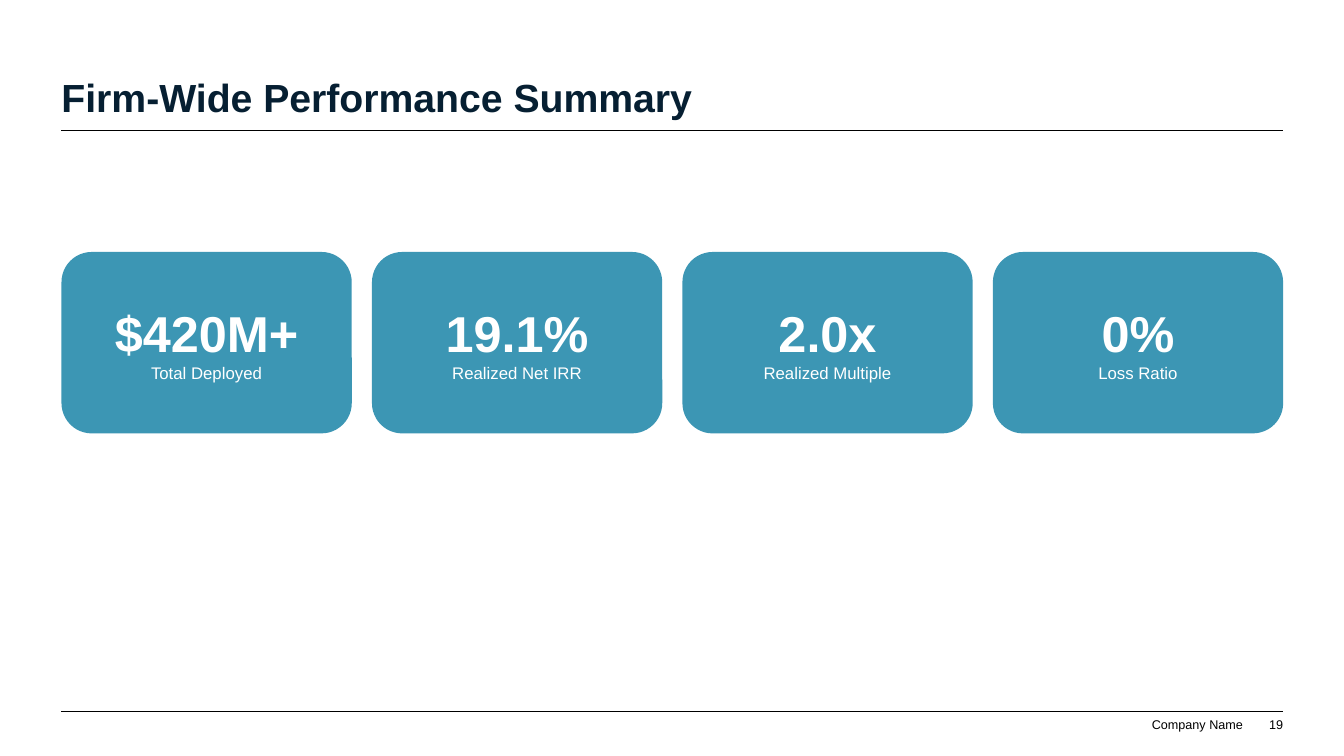
import pptx
import pptx.util
import pptx.dml.color
import pptx.enum.shapes
import pptx.enum.text
import lxml.etree

Pt = pptx.util.Pt
RGB = pptx.dml.color.RGBColor
ALIGN = pptx.enum.text.PP_ALIGN
ANCHOR = pptx.enum.text.MSO_ANCHOR

# Content
TITLE = "Firm-Wide Performance Summary"
CARDS = [
    ("$420M+", "Total Deployed"),
    ("19.1%", "Realized Net IRR"),
    ("2.0x", "Realized Multiple"),
    ("0%", "Loss Ratio"),
]
FIRM = "Company Name"
PAGE = "19"

# Look
FONT = "Arial"
NAVY = RGB(0x06, 0x1F, 0x32)
TEAL = RGB(0x3C, 0x96, 0xB4)
WHITE = RGB(0xFF, 0xFF, 0xFF)
BLACK = RGB(0, 0, 0)

# Layout, in points
LEFT, WIDE = 43.92, 872.64
RIGHT = LEFT + WIDE
GAP = 14.4
CARD_W = (WIDE - GAP * (len(CARDS) - 1)) / len(CARDS)
CARD_TOP, CARD_H = 180, 129.6
RULES = (92.88, 508.32)
FOOT_TOP, FOOT_H = 511.92, 10.8


def add_run(para, text, size, color, bold=False):
    run = para.add_run()
    run.text = text
    run.font.name = FONT
    run.font.size = Pt(size)
    run.font.bold = bold
    run.font.color.rgb = color


def add_text(slide, box, text, size, color, align, bold=False, wrap=True):
    frame = slide.shapes.add_textbox(*map(Pt, box)).text_frame
    frame.margin_left = frame.margin_right = 0
    frame.margin_top = frame.margin_bottom = 0
    frame.vertical_anchor = ANCHOR.BOTTOM
    frame.word_wrap = wrap
    para = frame.paragraphs[0]
    para.alignment = align
    add_run(para, text, size, color, bold)


def add_rule(slide, y):
    rule = slide.shapes.add_connector(
        pptx.enum.shapes.MSO_CONNECTOR.STRAIGHT,
        Pt(LEFT), Pt(y), Pt(RIGHT), Pt(y))
    rule.line.color.rgb = BLACK
    rule.line.width = Pt(0.5)
    props = rule._element.spPr
    lxml.etree.SubElement(props, pptx.oxml.ns.qn("a:effectLst"))


def add_card(slide, x, value, label):
    card = slide.shapes.add_shape(
        pptx.enum.shapes.MSO_SHAPE.ROUNDED_RECTANGLE,
        Pt(x), Pt(CARD_TOP), Pt(CARD_W), Pt(CARD_H))
    card.shadow.inherit = False
    card.fill.solid()
    card.fill.fore_color.rgb = TEAL
    card.line.fill.background()
    frame = card.text_frame
    frame.word_wrap = True
    frame.vertical_anchor = ANCHOR.MIDDLE
    head, note = frame.paragraphs[0], frame.add_paragraph()
    head.alignment = note.alignment = ALIGN.CENTER
    add_run(head, value, 36, WHITE, True)
    add_run(note, label, 12, WHITE)


def main():
    deck = pptx.Presentation()
    deck.slide_width, deck.slide_height = Pt(960), Pt(540)
    slide = deck.slides.add_slide(deck.slide_layouts[6])

    # Footer and rules
    add_text(slide, (822.24, FOOT_TOP, 65.52, FOOT_H), FIRM, 9, BLACK,
             ALIGN.RIGHT, wrap=False)
    for y in RULES:
        add_rule(slide, y)
    add_text(slide, (RIGHT - 25.92, FOOT_TOP, 25.92, FOOT_H), PAGE, 9, BLACK,
             ALIGN.RIGHT)

    # Title
    add_text(slide, (LEFT, 28.08, WIDE, 57.6), TITLE, 28, NAVY,
             ALIGN.LEFT, bold=True)

    # Cards
    for i, (value, label) in enumerate(CARDS):
        add_card(slide, LEFT + i * (CARD_W + GAP), value, label)

    deck.save("out.pptx")


if __name__ == "__main__":
    main()
